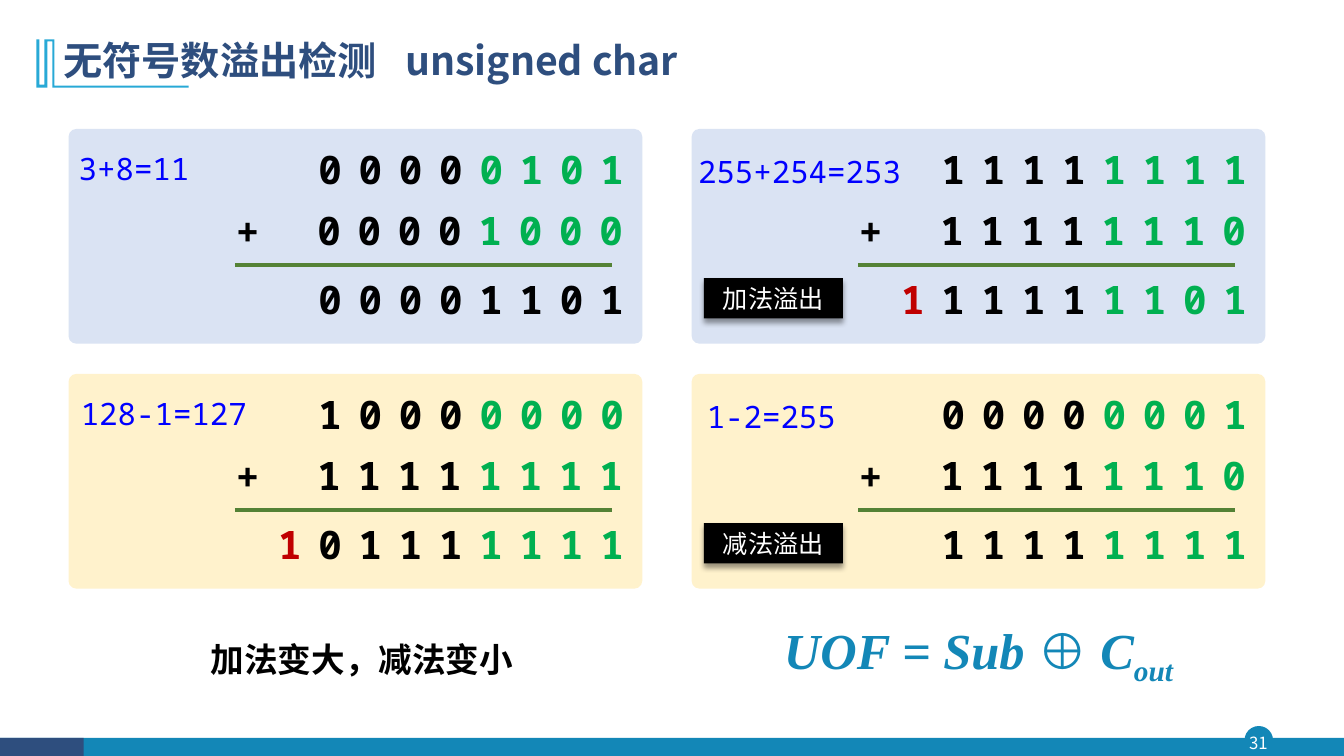
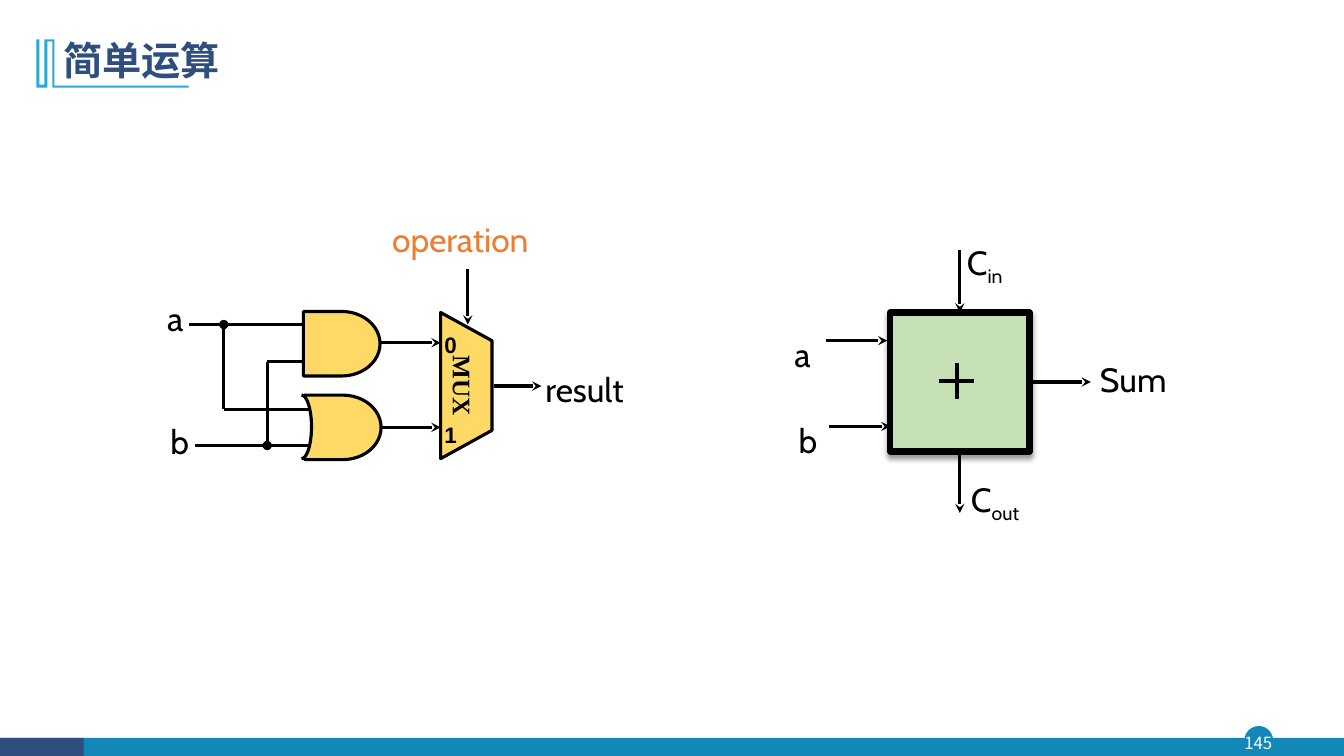
import math

from lxml import etree
from pptx import Presentation
from pptx import util as u
from pptx.dml.color import RGBColor
from pptx.enum import shapes, text
from pptx.oxml.ns import qn

NAVY = RGBColor(0x2E, 0x4E, 0x7E)
TEAL = RGBColor(0x13, 0x87, 0xB7)
SKY = RGBColor(0x28, 0xA9, 0xD6)
BLACK = RGBColor(0, 0, 0)
WHITE = RGBColor(0xFF, 0xFF, 0xFF)
BLUE = RGBColor(0, 0, 0xFF)
GREEN = RGBColor(0, 0xB0, 0x50)
RED = RGBColor(0xC0, 0, 0)
RULE_GREEN = RGBColor(0x54, 0x82, 0x35)
ORANGE = RGBColor(0xED, 0x7D, 0x31)
PALE_BLUE = RGBColor(0xDA, 0xE3, 0xF3)
PALE_YELLOW = RGBColor(0xFF, 0xF2, 0xCC)
GATE_YELLOW = RGBColor(0xFF, 0xD9, 0x66)
ADDER_GREEN = RGBColor(0xC5, 0xE0, 0xB4)

SANS, MONO = "Noto Sans CJK SC", "Noto Sans Mono"
SERIF, LABEL = "Times New Roman", "Cabin"
SHAPE, ALIGN = shapes.MSO_SHAPE, text.PP_ALIGN
WIDTH, HEIGHT = 133.3, 75  # columns and rows of the grid


def grid(*cells):
    """Turn grid cells, a tenth of an inch each, into lengths."""
    return [u.Inches(cell / 10) for cell in cells]


def add_xml(parent, tag, **attributes):
    return etree.SubElement(parent, qn(tag), attributes)


class Deck:
    """The shared style and the slide being drawn."""

    def __init__(self):
        self.prs = Presentation()
        self.prs.slide_width, self.prs.slide_height = grid(WIDTH, HEIGHT)
        self.slide = None

    def new_slide(self, title, number, tab=None):
        self.slide = self.prs.slides.add_slide(self.prs.slide_layouts[5])
        # Footer band and page number
        self.shape(SHAPE.OVAL, (123.5, 72.1, 2.7, 2.7), TEAL, TEAL, 1)
        self.shape(SHAPE.RECTANGLE, (0, 73.2, WIDTH, 1.9), TEAL)
        self.shape(SHAPE.RECTANGLE, (0, 73.2, 8.3, 1.9), NAVY)
        self.text(number, (123.2, 72.1, 3.2, 3.1), 12, SANS, WHITE,
                  align=ALIGN.CENTER, inset=0, anchor=text.MSO_ANCHOR.MIDDLE)
        # Mark beside the title
        self.outline([(5.4, 3.9), (5.4, 8.5), (18.7, 8.5), (18.7, 8.7), (5.2, 8.7),
                      (5.2, 4.1), (4.7, 4.1), (4.7, 8.7), (3.6, 8.7), (3.6, 3.9),
                      (3.9, 3.9), (3.9, 8.4), (4.4, 8.4), (4.4, 3.9)], SKY)
        # Title
        heading = self.slide.shapes.title
        heading.left, heading.top, heading.width, heading.height = grid(5.3, 2.8, 115, 6.8)
        frame = heading.text_frame
        frame.auto_size = text.MSO_AUTO_SIZE.NONE
        frame.vertical_anchor = text.MSO_ANCHOR.MIDDLE
        line = frame.paragraphs[0]
        line.alignment, line.line_spacing = ALIGN.LEFT, 0.9
        if tab:
            stops = add_xml(line._p.get_or_add_pPr(), "a:tabLst")
            add_xml(stops, "a:tab", pos=str(grid(tab)[0]), algn="l")
        line.add_run().text = title
        self.font(line.font, 28, SANS, NAVY, bold=True)

    def font(self, font, size, face, color, bold=False, spacing=None):
        font.size, font.name, font.bold = u.Pt(size), face, bold
        font.color.rgb = color
        add_xml(font._rPr, "a:ea", typeface=face)
        if spacing:
            font._rPr.set("spc", str(spacing * 100))

    def fill_line(self, frame, parts, size, face, color, bold=False, spacing=None,
                  align=ALIGN.LEFT, leading=None):
        """Fill one paragraph; parts is a string or (string, overrides) pairs."""
        line = frame.paragraphs[0]
        line.alignment = align
        if leading:
            line.line_spacing = leading
        self.font(line.font, size, face, color, bold, spacing)
        for words, change in [(parts, {})] if isinstance(parts, str) else parts:
            run = line.add_run()
            run.text = words
            if "color" in change:
                run.font.color.rgb = change["color"]
            if "italic" in change:
                run.font.italic = change["italic"]
            if change.get("sub"):
                run.font._rPr.set("baseline", "-25000")

    def text(self, parts, box, size, face, color=BLACK, inset=None, wrap=True,
             anchor=text.MSO_ANCHOR.TOP, **style):
        frame = self.slide.shapes.add_textbox(*grid(*box)).text_frame
        frame.word_wrap, frame.vertical_anchor = wrap, anchor
        if inset is not None:
            frame.margin_left = frame.margin_right = inset
            frame.margin_top = frame.margin_bottom = inset
        self.fill_line(frame, parts, size, face, color, **style)

    def label(self, parts, box, **style):
        self.text(parts, box, 24, LABEL, inset=0, wrap=False, **style)

    def paint(self, shape, fill, line, weight):
        shape.shadow.inherit = False
        if fill is None:
            shape.fill.background()
        else:
            shape.fill.solid()
            shape.fill.fore_color.rgb = fill
        if line is None:
            shape.line.fill.background()
        else:
            shape.line.color.rgb, shape.line.width = line, u.Pt(weight)

    def shape(self, kind, box, fill=None, line=None, weight=2.25, adjust=None, shadow=False):
        shape = self.slide.shapes.add_shape(kind, *grid(*box))
        self.paint(shape, fill, line, weight)
        if adjust is not None:
            shape.adjustments[0] = adjust
        if shadow:
            drop = add_xml(shape._element.spPr.find(qn("a:effectLst")), "a:outerShdw",
                           blurRad=str(u.Pt(4)), dist=str(u.Pt(3)), dir="5400000",
                           algn="t", rotWithShape="0")
            add_xml(add_xml(drop, "a:srgbClr", val="000000"), "a:alpha", val="40000")
        return shape

    def outline(self, points, fill, line=None, weight=2.25, close=True):
        start, *rest = [grid(*point) for point in points]
        builder = self.slide.shapes.build_freeform(*start)
        builder.add_line_segments(rest, close=close)
        self.paint(builder.convert_to_shape(), fill, line, weight)

    def line(self, start, end, color=BLACK, weight=2.25, head=None, tail=None):
        wire = self.slide.shapes.add_connector(
            shapes.MSO_CONNECTOR.STRAIGHT, *grid(*start, *end))
        wire.line.color.rgb, wire.line.width = color, u.Pt(weight)
        ends = wire.line._get_or_add_ln()
        for tag, kind in (("a:headEnd", head), ("a:tailEnd", tail)):
            if kind:
                add_xml(ends, tag, type=kind)
        add_xml(wire._element.spPr, "a:effectLst")
        return wire

    def arrow(self, start, end):
        return self.line(start, end, tail="stealth")

    def bits(self, left, top, *groups):
        """Show a binary number; groups are (digits, colour) pairs."""
        count = sum(len(digits) for digits, _ in groups)
        self.text([(digits, {"color": color}) for digits, color in groups],
                  (left, top, 4 * count + 3, 5.7), 28, MONO, bold=True, spacing=12)

    def sum_panel(self, left, top, fill, first, second, result):
        self.shape(SHAPE.ROUNDED_RECTANGLE, (left, top, 56.9, 21.3), fill, adjust=0.036)
        self.line((left + 16.5, top + 13.5), (left + 53.9, top + 13.5), RULE_GREEN, 3)
        self.text("+", (left + 15.6, top + 7.3, 4.2, 5.7), 28, MONO, wrap=False, bold=True)
        for row, dx, dy in ((first, 23.8, 1.1), (second, 23.7, 7.2)):
            self.bits(left + dx, top + dy, (row[:4], BLACK), (row[4:], GREEN))
        carry = result[0][0] if result[0][1] == RED else ""
        self.bits(left + 23.8 - 4 * len(carry), top + 14, *result)

    def equation(self, words, left, top, width):
        self.text(words, (left, top, width, 4.7), 22, MONO, BLUE, align=ALIGN.CENTER)

    def banner(self, parts, kind, box, size, face, color, fill=None, adjust=None,
               shadow=False, bold=False):
        shape = self.shape(kind, box, fill, adjust=adjust, shadow=shadow)
        shape.text_frame.vertical_anchor = text.MSO_ANCHOR.MIDDLE
        self.fill_line(shape.text_frame, parts, size, face, color, bold, align=ALIGN.CENTER)


def overflow_slide(deck):
    deck.new_slide("无符号数溢出检测\tunsigned char", "31", tab=33.9)
    left, right, upper, lower = 6.8, 68.6, 12.8, 37.1

    # Four worked sums
    deck.sum_panel(left, upper, PALE_BLUE, "00000101", "00001000",
                   [("00001101", BLACK)])
    deck.sum_panel(right, upper, PALE_BLUE, "11111111", "11111110",
                   [("1", RED), ("1111", BLACK), ("1101", GREEN)])
    deck.sum_panel(left, lower, PALE_YELLOW, "10000000", "11111111",
                   [("1", RED), ("0111", BLACK), ("1111", GREEN)])
    deck.sum_panel(right, lower, PALE_YELLOW, "00000001", "11111110",
                   [("1111", BLACK), ("1111", GREEN)])
    deck.equation("3+8=11", left, upper + 1.6, 13)
    deck.equation("255+254=253", right - 0.7, upper + 1.9, 22.8)
    deck.equation("128-1=127", left, lower + 1.6, 18.9)
    deck.equation("1-2=255", right - 0.7, lower + 1.9, 17.2)

    # Overflow badges
    for words, top in (("加法溢出", upper), ("减法溢出", lower)):
        deck.banner(words, SHAPE.RECTANGLE, (right + 1.2, top + 14.8, 13.8, 4),
                    18, MONO, WHITE, BLACK, shadow=True)

    # Rule and formula
    deck.banner("加法变大，减法变小", SHAPE.ROUNDED_RECTANGLE, (5.3, 61.5, 61.2, 7.7),
                24, SANS, BLACK, WHITE, adjust=0.058, bold=True)
    deck.banner([("UOF = Sub ", {"italic": True}), ("⊕ ", {"italic": False}),
                 ("C", {"italic": True}), ("out", {"italic": True, "sub": True})],
                SHAPE.ROUNDED_RECTANGLE, (right, 61.2, 56.9, 7.2),
                36, SERIF, TEAL, adjust=0.071, bold=True)


def logic_unit(deck):
    # Multiplexer
    mux = deck.shape(SHAPE.TRAPEZOID, (39, 35.7, 14.5, 5.1), GATE_YELLOW, BLACK, adjust=0.55)
    mux.rotation = 90
    mux.text_frame.vertical_anchor = text.MSO_ANCHOR.MIDDLE
    deck.fill_line(mux.text_frame, "MUX", 18, SERIF, BLACK, bold=True, align=ALIGN.CENTER)
    for digit, top in (("0", 32.3), ("1", 41.2)):
        deck.text(digit, (43.7, top, 2, 2.9), 16, "Arial", inset=0, bold=True,
                  align=ALIGN.CENTER, leading=1.2)

    # AND gate, OR gate with its hollow back
    for gate_left, gate_top in ((30.1, 30.9), (30.2, 39.2)):
        deck.shape(SHAPE.FLOWCHART_DELAY, (gate_left, gate_top, 7.6, 6.4), GATE_YELLOW, BLACK)
    angles = [math.pi * step / 24 for step in range(25)]
    deck.outline([(29.9 + math.sin(a), 42.35 - 3.15 * math.cos(a)) for a in angles],
                 WHITE, BLACK, close=False)

    # Wires and branches
    for start, end in (((26.5, 35.9), (30.1, 35.9)), ((18.7, 32.2), (30.1, 32.2)),
                       ((22.2, 40.6), (30.6, 40.6)), ((19.3, 44.2), (30.8, 44.2))):
        deck.line(start, end)
    deck.line((22.2, 32.2), (22.2, 40.6), head="oval")
    deck.line((26.5, 44.2), (26.5, 35.9), head="oval")
    for start, end in (((37.7, 34), (43.7, 34)), ((37.9, 42.4), (43.7, 42.4)),
                       ((49, 38.3), (53.7, 38.3)), ((46.4, 26.7), (46.4, 32.2))):
        deck.arrow(start, end)

    # Signal names
    deck.label("result", (54.1, 35.8, 14.5, 4.4), leading=1.2)
    deck.text("operation", (37.9, 21.2, 16.9, 5), 24, LABEL, ORANGE, wrap=False)
    deck.text("a", (15.6, 29.1, 3.8, 5), 24, LABEL, wrap=False)
    deck.text("b", (15.9, 41.3, 4.1, 5), 24, LABEL, wrap=False)


def adder_unit(deck):
    # Adder with its plus sign
    left, top, side = 88.3, 31, 13.8
    right, bottom = left + side, top + side
    across, down = left + side / 2, top + side / 2
    adder = deck.shape(SHAPE.RECTANGLE, (left, top, side, side), ADDER_GREEN, BLACK, 4.5,
                       shadow=True)
    deck.shape(SHAPE.CROSS, (93.2, 36.1, 3.4, 3.4), BLACK, BLACK, 0.75, adjust=0.45)

    # Inputs and outputs
    deck.arrow((81.9, 33.8), (88, 33.8))
    deck.arrow((82.2, 42.3), (left, 42.3))
    deck.arrow((right, down), (right + 6.1, down)).begin_connect(adder, 3)
    deck.arrow((across, bottom), (across, bottom + 6.1)).begin_connect(adder, 2)
    deck.arrow((across, top - 6.2), (across, top)).end_connect(adder, 0)

    # Signal names
    deck.label("a", (78.8, 33.1, 1.8, 4))
    deck.label("b", (79.2, 41.7, 2, 4))
    deck.label("Sum", (109.1, 35.6, 6.8, 4))
    for name, x, y, width in (("in", 95.9, 24, 4), ("out", 96.3, 47.5, 5.5)):
        deck.label([("C", {}), (name, {"sub": True})], (x, y, width, 4))


def main():
    deck = Deck()
    overflow_slide(deck)
    deck.new_slide("简单运算", "145")
    logic_unit(deck)
    adder_unit(deck)
    deck.prs.save("out.pptx")


if __name__ == "__main__":
    main()
